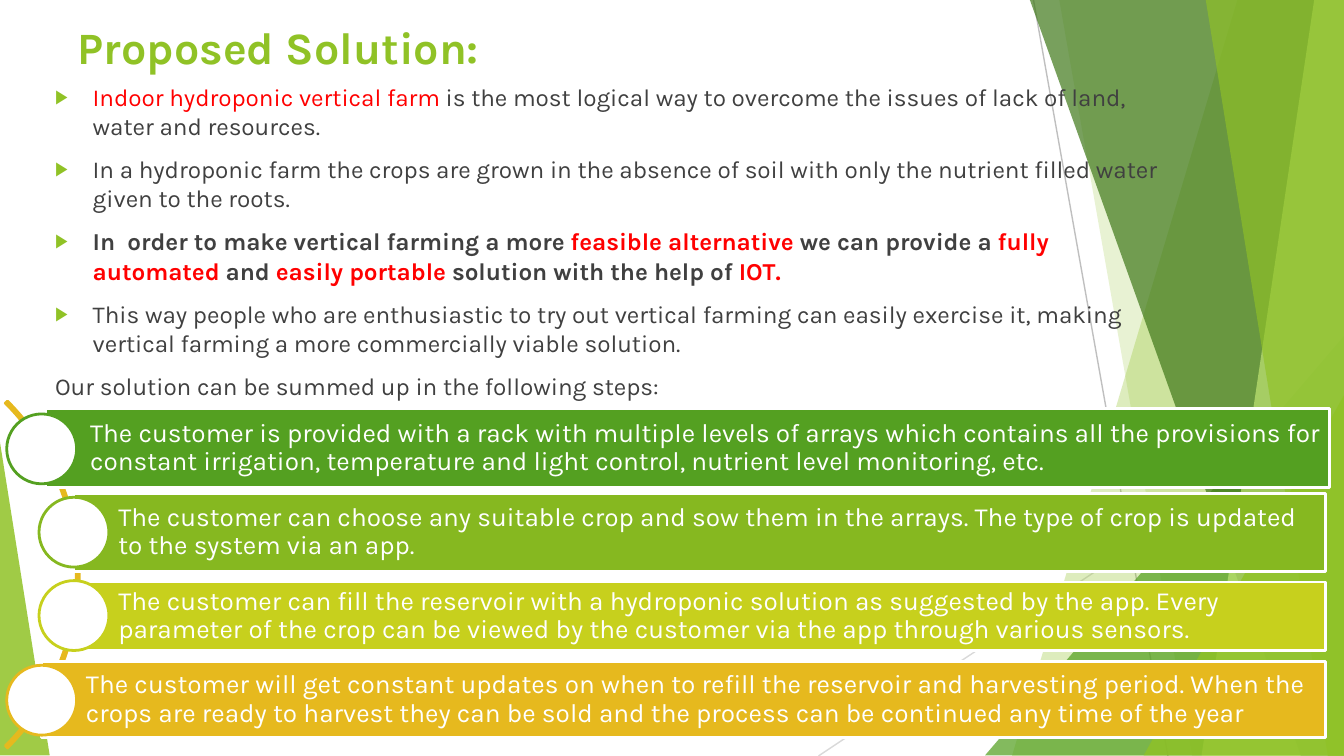
from lxml import etree
from pptx import Presentation
from pptx.dml.color import RGBColor
from pptx.enum.shapes import MSO_CONNECTOR, MSO_SHAPE
from pptx.enum.text import MSO_ANCHOR, MSO_AUTO_SIZE, PP_ALIGN
from pptx.oxml.ns import qn
from pptx.util import Inches, Pt

rgb = RGBColor.from_string
FONT = "Karla"
GREEN, DARK_GREEN, GOLD = "90C226", "54A021", "E6B91E"
RED, GREY, WHITE = "FF0000", "404040", "FFFFFF"
WIDTH = 10
HEIGHT = WIDTH * 9 / 16


def paint(shape, fill=None, line=None, opacity=100):
    """Set fill, opacity in percent and outline; None means no fill or no line."""
    shape.shadow.inherit = False
    if fill:
        shape.fill.solid()
        shape.fill.fore_color.rgb = rgb(fill)
        if opacity < 100:
            color = shape.fill._xPr.find(qn("a:solidFill"))[0]
            etree.SubElement(color, qn("a:alpha"), val=str(opacity * 1000))
    else:
        shape.fill.background()
    if line:
        shape.line.color.rgb = rgb(line)
        shape.line.width = Pt(1.5)
    else:
        shape.line.fill.background()


presentation = Presentation()
presentation.slide_width = Inches(WIDTH)
presentation.slide_height = Inches(HEIGHT)
slide = presentation.slides.add_slide(presentation.slide_layouts[1])
shapes = slide.shapes
title, body = slide.placeholders

# Background facets
for start, end, color in [
    ((7.69, 0), (8.69, HEIGHT), "BFBFBF"),
    ((WIDTH, 3.02), (6.09, HEIGHT), "D9D9D9"),
]:
    connector = shapes.add_connector(
        MSO_CONNECTOR.STRAIGHT, *map(Inches, start + end))
    connector.line.color.rgb = rgb(color)
    connector.line.width = Pt(0.75)
    etree.SubElement(connector._element.spPr, qn("a:effectLst"))

# Slanted facets run from top to bottom; triangles give box and apex position
facets = [
    ("slant", (9.21, 7.53), GREEN, 30),
    ("slant", (7.88, 8.87), GREEN, 20),
    ("triangle", (7.33, 2.5, 2.67, 3.12, 1), DARK_GREEN, 72),
    ("slant", (7.66, 9.68), "3F7819", 70),
    ("slant", (9.78, 8.94), "C0E474", 70),
    ("slant", (8.97, 9.88), GREEN, 65),
    ("triangle", (8.51, 2.94, 1.49, 2.68, 1), GREEN, 80),
    ("triangle", (0, 3.29, 0.37, 2.33, 0), GREEN, 85),
]
for kind, geometry, color, opacity in facets:
    if kind == "slant":
        top_x, bottom_x = geometry
        builder = shapes.build_freeform(Inches(top_x), Inches(-0.01))
        corners = [(WIDTH, -0.01), (WIDTH, HEIGHT), (bottom_x, HEIGHT)]
        builder.add_line_segments([(Inches(x), Inches(y)) for x, y in corners])
        facet = builder.convert_to_shape()
    else:
        *box, apex = geometry
        facet = shapes.add_shape(
            MSO_SHAPE.ISOSCELES_TRIANGLE, *map(Inches, box))
        facet.adjustments[0] = apex
    paint(facet, color, opacity=opacity)

# Title and body stand in front of the facets
for placeholder, box in [(title, (0.48, 0.05, 7.05, 1.08)),
                         (body, (0.31, 0.56, 8.54, 2.46))]:
    shapes._spTree.append(placeholder._element)
    placeholder.left, placeholder.top, placeholder.width, placeholder.height = map(
        Inches, box)
    frame = placeholder.text_frame
    frame.word_wrap = True
    frame.auto_size = MSO_AUTO_SIZE.NONE
    frame.vertical_anchor = MSO_ANCHOR.TOP

title_frame = title.text_frame
title_frame.margin_left = title_frame.margin_right = Inches(0.1)
title_frame.margin_top = title_frame.margin_bottom = Inches(0.1)
title_frame.text = "Proposed Solution:"
heading = title_frame.paragraphs[0]
heading.alignment = PP_ALIGN.LEFT
heading.font.name, heading.font.size, heading.font.bold = FONT, Pt(24), True
heading.font.color.rgb = rgb(GREEN)

# Each paragraph: bulleted, bold, runs as (text, color)
paragraphs = [
    (True, False, [
        ("Indoor hydroponic vertical farm ", RED),
        ("is the most logical way to overcome the issues of lack of land, "
         "water and resources.", GREY)]),
    (True, False, [
        ("In a hydroponic farm the crops are grown in the absence of soil with "
         "only the nutrient filled water given to the roots.", GREY)]),
    (True, True, [
        ("In  order to make vertical farming a more ", GREY),
        ("feasible alternative ", RED),
        ("we can provide a ", GREY),
        ("fully automated", RED),
        (" and ", GREY),
        ("easily portable ", RED),
        ("solution with the help of ", GREY),
        ("IOT.", RED)]),
    (True, False, [
        ("This way people who are enthusiastic to try out vertical farming can "
         "easily exercise it, making vertical farming a more commercially "
         "viable solution.", GREY)]),
    (False, False, [
        ("Our solution can be summed up in the following steps:", GREY)]),
]
for index, (bulleted, bold, runs) in enumerate(paragraphs):
    frame = body.text_frame
    paragraph = frame.add_paragraph() if index else frame.paragraphs[0]
    paragraph.space_before = Pt(7.5)
    properties = paragraph._p.get_or_add_pPr()
    indent = Inches(0.28) if bulleted else 0
    properties.set("marL", str(indent))
    properties.set("indent", str(-indent))
    if bulleted:
        bullet_color = etree.SubElement(properties, qn("a:buClr"))
        etree.SubElement(bullet_color, qn("a:srgbClr"), val=GREEN)
        etree.SubElement(properties, qn("a:buSzPct"), val="80000")
        etree.SubElement(properties, qn("a:buChar"), char="▶")
    else:
        etree.SubElement(properties, qn("a:buNone"))
    paragraph.font.name, paragraph.font.size = FONT, Pt(13)
    paragraph.font.bold = bold
    for text, color in runs:
        run = paragraph.add_run()
        run.text = text
        run.font.color.rgb = rgb(color)

# Steps along an arc
arc = shapes.add_shape(
    MSO_SHAPE.BLOCK_ARC, *map(Inches, (-3.06, 2.45, 3.65, 3.65)))
arc.adjustments[0], arc.adjustments[1], arc.adjustments[2] = 189, 27, 0.006
paint(arc, line=GOLD)

# Each step: bar box, circle left and top, color, text
DIAMETER = 0.52
steps = [
    ((0.34, 3.04, 9.55, 0.59), (0.05, 3.08), DARK_GREEN,
     "The customer is provided with a rack with multiple levels of arrays which "
     "contains all the provisions for constant irrigation, temperature and "
     "light control, nutrient level monitoring, etc."),
    ((0.55, 3.67, 9.31, 0.58), (0.29, 3.7), "86B820",
     "The customer can choose any suitable crop and sow them in the arrays. "
     "The type of crop is updated to the system via an app."),
    ((0.55, 4.33, 9.31, 0.51), (0.29, 4.32), "C7D01D",
     "The customer can fill the reservoir with a hydroponic solution as "
     "suggested by the app. Every parameter of the crop can be viewed by the "
     "customer via the app through various sensors."),
    ((0.31, 4.92, 9.55, 0.57), (0.05, 4.95), GOLD,
     "The customer will get constant updates on when to refill the reservoir "
     "and harvesting period. When the crops are ready to harvest they can be "
     "sold and the process can be continued any time of the year"),
]
for box, corner, color, text in steps:
    bar = shapes.add_shape(MSO_SHAPE.RECTANGLE, *map(Inches, box))
    paint(bar, color, WHITE)
    frame = bar.text_frame
    frame.word_wrap = True
    frame.vertical_anchor = MSO_ANCHOR.MIDDLE
    frame.margin_left = Inches(0.33)
    frame.margin_top = frame.margin_right = frame.margin_bottom = Inches(0.04)
    frame.text = text
    paragraph = frame.paragraphs[0]
    paragraph.alignment = PP_ALIGN.LEFT
    paragraph.line_spacing = 0.9
    paragraph.font.name, paragraph.font.size = FONT, Pt(14)
    paragraph.font.color.rgb = rgb(WHITE)

    circle = shapes.add_shape(
        MSO_SHAPE.OVAL, *map(Inches, corner + (DIAMETER, DIAMETER)))
    paint(circle, WHITE, color)

presentation.save("out.pptx")
